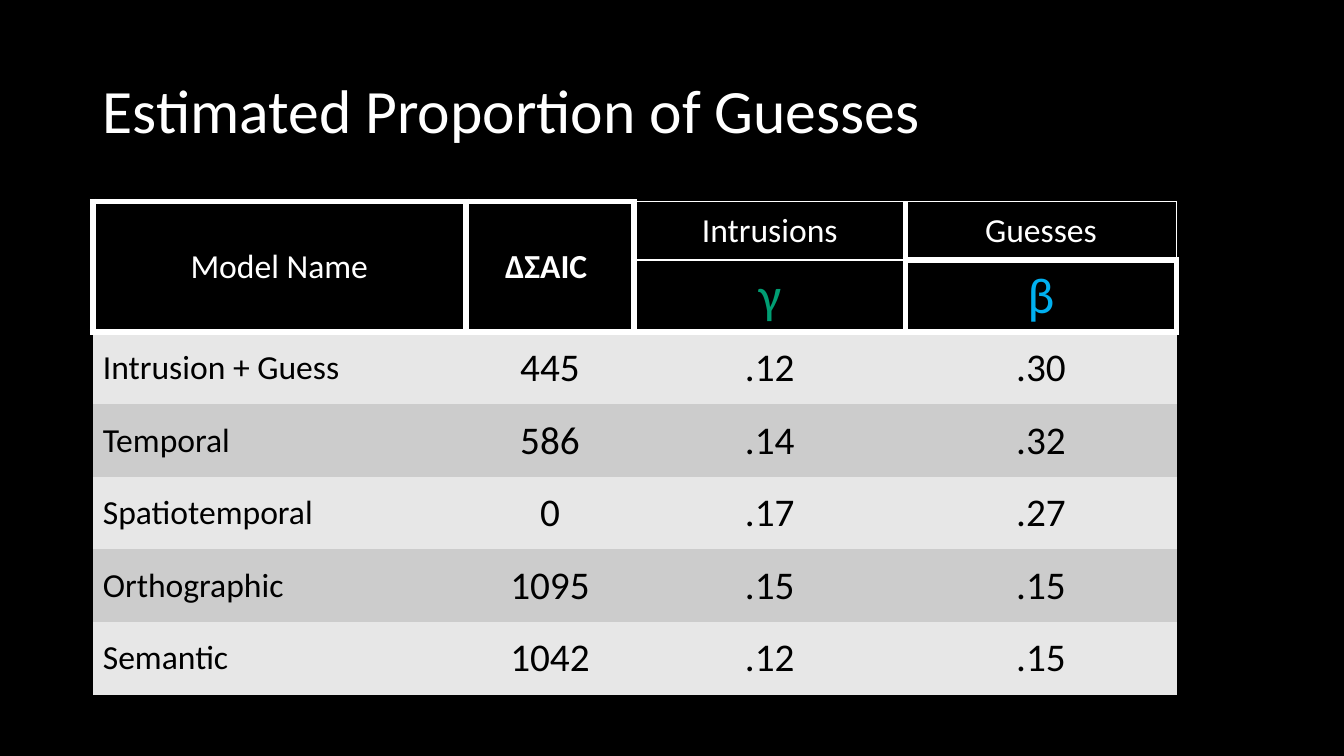
from pptx import Presentation
from pptx import util as u
from pptx.dml import color
from pptx.enum import text
from pptx.oxml import ns
from lxml import etree

TITLE = "Estimated Proportion of Guesses"
HEADS = [
    ["Model Name", "ΔΣAIC\u00a0", "Intrusions", "Guesses"],
    ["", "", "γ", "β"],
]
MODELS = [
    ["Intrusion + Guess", "445", ".12", ".30"],
    ["Temporal", "586", ".14", ".32"],
    ["Spatiotemporal", "0", ".17", ".27"],
    ["Orthographic", "1095", ".15", ".15"],
    ["Semantic", "1042", ".12", ".15"],
]
WIDTHS = [3.7, 1.67, 2.69, 2.69]
HEIGHTS = [0.58, 0.71] + [0.72] * len(MODELS)
GREEK = {"γ": "009E73", "β": "00B0F0"}
BLACK, WHITE = "000000", "FFFFFF"
BANDS = ["E7E7E7", "CCCCCC"]
THICK, THIN = 4.5, 1
BOX = dict(L=THICK, R=THICK, T=THICK, B=THICK)
EDGES = {
    (0, 2): dict(L=THICK, R=THICK, T=THIN, B=THIN),
    (0, 3): dict(L=THICK, R=THIN, T=THIN, B=THICK),
    (1, 2): dict(L=THICK, R=THICK, T=THIN, B=THICK),
}


def rgb(code):
    return color.RGBColor.from_string(code)


def write(frame, words, size=24, tint=BLACK, bold=False, center=True):
    para = frame.paragraphs[0]
    para.alignment = text.PP_ALIGN.CENTER if center else text.PP_ALIGN.LEFT
    run = para.add_run()
    run.text = words
    font = run.font
    font.name, font.size, font.bold = "Calibri", u.Pt(size), bold
    font.color.rgb = rgb(tint)
    return para


def border(cell, edges):
    props = cell._tc.get_or_add_tcPr()
    for side in "LRTB":
        width = edges.get(side, 0)
        line = etree.SubElement(props, ns.qn("a:ln" + side), w=str(u.Pt(width)))
        if width:
            fill = etree.SubElement(line, ns.qn("a:solidFill"))
            etree.SubElement(fill, ns.qn("a:srgbClr"), val=WHITE)
        else:
            etree.SubElement(line, ns.qn("a:noFill"))


def style(row, col, words):
    if row >= len(HEADS):
        look = dict(size=28 if col else 24, center=col > 0)
        edges = dict(T=THICK) if row == len(HEADS) else {}
        return look, BANDS[row % 2], edges
    look = dict(size=36 if words in GREEK else 24, tint=GREEK.get(words, WHITE),
                bold=words.startswith("ΔΣ"))
    return look, BLACK, EDGES.get((row, col), BOX)


def main():
    deck = Presentation()
    deck.slide_width, deck.slide_height = u.Inches(13.33), u.Inches(7.5)
    slide = deck.slides.add_slide(deck.slide_layouts[5])
    slide.background.fill.solid()
    slide.background.fill.fore_color.rgb = rgb(BLACK)

    title = slide.shapes.title
    title.left, title.top = u.Inches(0.92), u.Inches(0.4)
    title.width, title.height = u.Inches(11.5), u.Inches(1.45)
    title.text_frame.vertical_anchor = text.MSO_ANCHOR.MIDDLE
    write(title.text_frame, TITLE, size=44, tint=WHITE, center=False).line_spacing = 0.9

    rows = HEADS + MODELS
    table = slide.shapes.add_table(
        len(rows), len(WIDTHS), u.Inches(0.92), u.Inches(2),
        u.Inches(sum(WIDTHS)), u.Inches(sum(HEIGHTS))).table
    table.first_row = table.horz_banding = False
    for column, width in zip(table.columns, WIDTHS):
        column.width = u.Inches(width)
    for line, height in zip(table.rows, HEIGHTS):
        line.height = u.Inches(height)
    for col in range(2):
        table.cell(0, col).merge(table.cell(1, col))

    for row, items in enumerate(rows):
        for col, words in enumerate(items):
            cell = table.cell(row, col)
            look, fill, edges = style(row, col, words)
            border(cell, edges)
            cell.fill.solid()
            cell.fill.fore_color.rgb = rgb(fill)
            cell.vertical_anchor = text.MSO_ANCHOR.MIDDLE
            if words:
                write(cell.text_frame, words, **look)

    deck.save("out.pptx")


if __name__ == "__main__":
    main()
